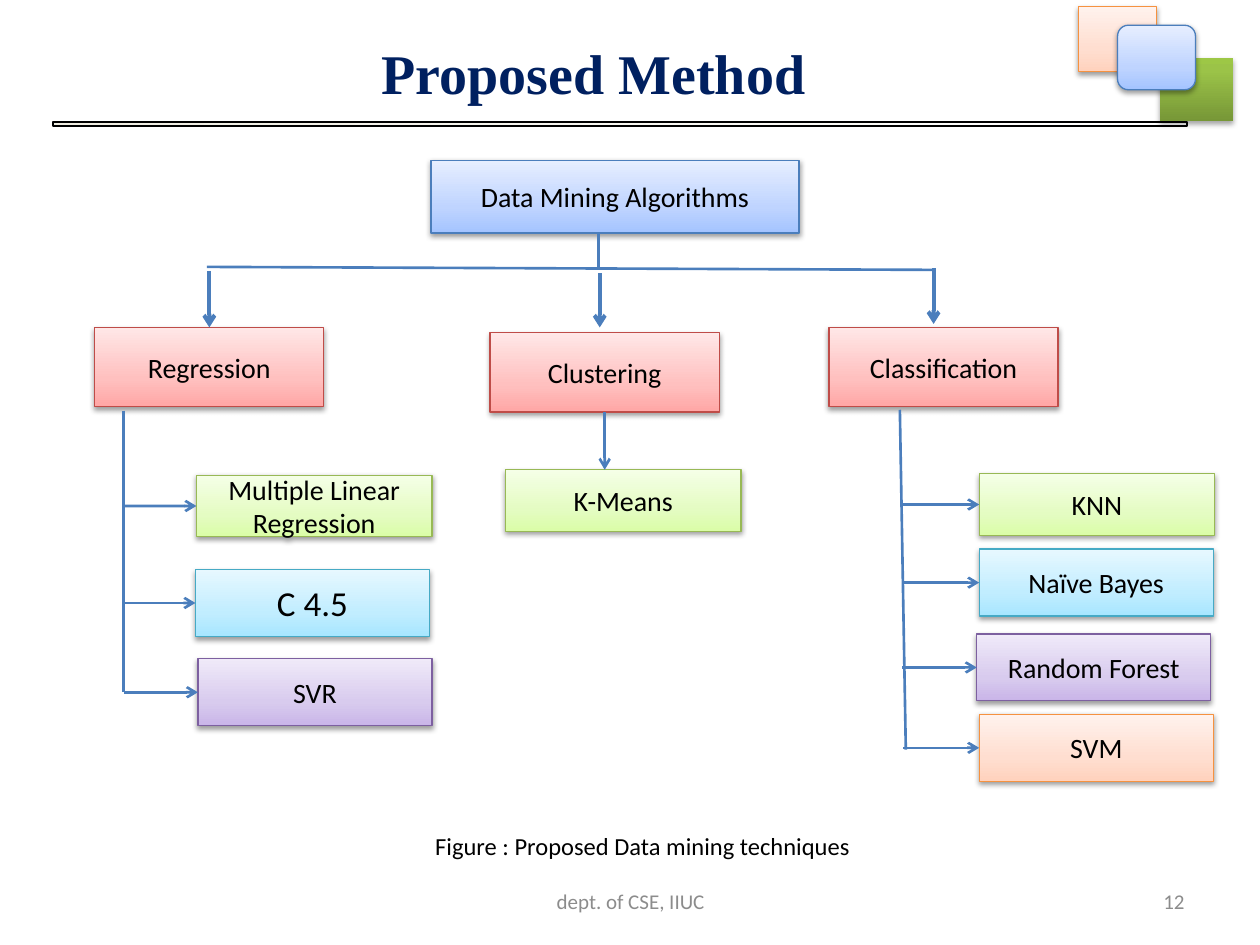
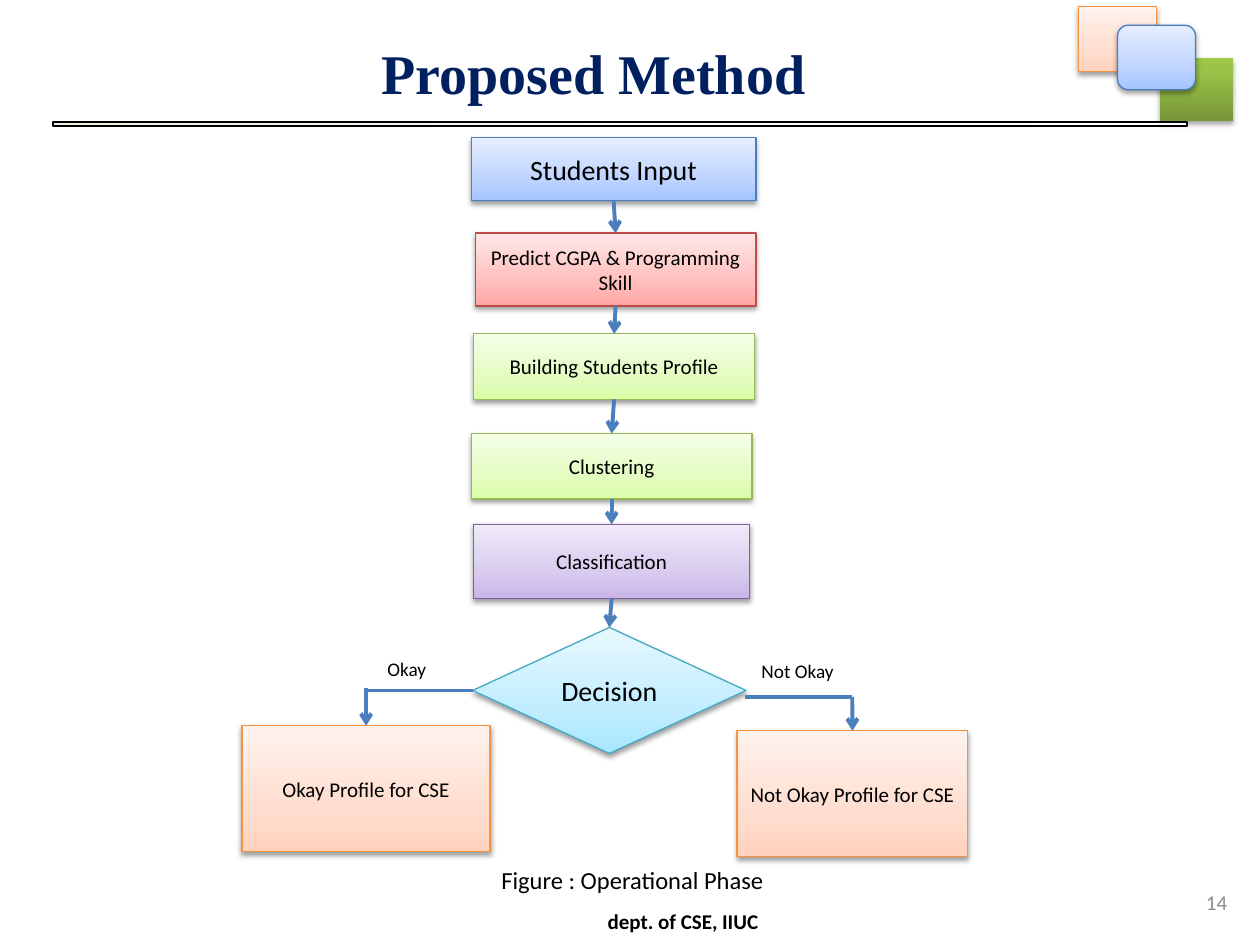
from lxml import etree
from pptx import Presentation
from pptx.dml.color import RGBColor
from pptx.enum import shapes, text
from pptx.oxml import ns
from pptx.util import Cm, Pt

# Shared style: three gradient stops (bottom to top) and an outline
BLUE = ("A4C4FF", "BFD4FF", "E6EEFF", "4B7EBC")
RED = ("FFA6A5", "FFC0BF", "FFE7E7", "BF4C48")
GREEN = ("DAFDA7", "E4FCC2", "F5FFE7", "98B955")
CYAN = ("A7E6FF", "C1EDFF", "E7F8FF", "46AAC5")
PURPLE = ("C9B5E8", "D8CBEE", "F0EAF9", "7D60A0")
ORANGE = ("FFD2BD", "FFDED0", "FFF2ED", "F69240")
ARROW, BLACK, GREY, NAVY = "4B7EBC", "000000", "8C8C8C", "002060"
TOP, LEFT, BOTTOM = 0, 1, 2
SHAPE = shapes.MSO_SHAPE
CENTER, RIGHT = text.PP_ALIGN.CENTER, text.PP_ALIGN.RIGHT


def rgb(value):
    return RGBColor.from_string(value)


def child(parent, tag, **attributes):
    """Append a DrawingML element."""
    element = etree.SubElement(parent, ns.qn(tag))
    for name, value in attributes.items():
        element.set(name, str(value))
    return element


class Deck:
    def __init__(self):
        self.prs = Presentation()
        self.prs.slide_width, self.prs.slide_height = Cm(25.4), Cm(19.05)
        self.slide = None

    def new_slide(self, title):
        self.slide = self.prs.slides.add_slide(self.prs.slide_layouts[5])
        heading = self.slide.shapes.title
        heading.left, heading.top = Cm(7.44), Cm(0.64)
        heading.width, heading.height = Cm(9.7), Cm(1.63)
        self.set_text(heading, title, 32, NAVY, text.PP_ALIGN.LEFT,
                      text.MSO_ANCHOR.TOP, True, "Times New Roman")
        heading.text_frame.word_wrap = False

    def set_text(self, shape, words, size, color=BLACK, align=CENTER,
                 anchor=text.MSO_ANCHOR.MIDDLE, bold=False, font="Calibri"):
        frame = shape.text_frame
        frame.word_wrap = True
        frame.auto_size = text.MSO_AUTO_SIZE.NONE
        frame.vertical_anchor = anchor
        paragraph = frame.paragraphs[0]
        paragraph.alignment = align
        run = paragraph.add_run()
        run.text = words
        run.font.name, run.font.size, run.font.bold = font, Pt(size), bold
        run.font.color.rgb = rgb(color)

    def label(self, at, words, size, wrap=False, **style):
        box = self.slide.shapes.add_textbox(*map(Cm, at))
        self.set_text(box, words, size, **style)
        box.text_frame.word_wrap = wrap

    def footer(self, words, at, number, number_at, color=GREY, bold=False):
        self.label(at, words, 12, True, color=color, bold=bold)
        self.label(number_at, number, 12, True, color=GREY, align=RIGHT)

    def panel(self, kind, at, stops, outline, angle=90, weight=0.75):
        """Add a gradient shape; stops are (percent, colour) pairs."""
        shape = self.slide.shapes.add_shape(kind, *map(Cm, at))
        shape.fill.gradient()
        shape.fill.gradient_angle = angle
        stop_list = shape.element.spPr.find(".//" + ns.qn("a:gsLst"))
        for old in list(stop_list):
            stop_list.remove(old)
        for percent, color in stops:
            stop = child(stop_list, "a:gs", pos=percent * 1000)
            child(stop, "a:srgbClr", val=color)
        if outline:
            shape.line.color.rgb = rgb(outline)
            shape.line.width = Pt(weight)
        else:
            shape.line.fill.background()
        shape.shadow.inherit = False
        return shape

    def cast_shadow(self, shape, opacity=38, distance=1.6):
        effects = shape.element.spPr.find(ns.qn("a:effectLst"))
        shadow = child(effects, "a:outerShdw", blurRad=Pt(3.1), dist=Pt(distance),
                       dir=5400000, rotWithShape=0)
        child(child(shadow, "a:srgbClr", val=BLACK), "a:alpha", val=opacity * 1000)

    def box(self, at, palette, words="", size=16, kind=SHAPE.RECTANGLE):
        shape = self.panel(kind, at, zip((0, 35, 100), palette), palette[3])
        self.cast_shadow(shape)
        if words:
            self.set_text(shape, words, size)
        return shape

    def rule(self):
        self.panel(SHAPE.RECTANGLE, (1.07, 2.46, 22.86, 0.08),
                   [(0, "EEECE1"), (100, "FFFFFF")], BLACK, 0, 1.5)

    def green_square(self):
        square = self.panel(SHAPE.RECTANGLE, (23.39, 1.17, 1.47, 1.27),
                            [(0, "779737"), (80, "9BC348"), (100, "9DC746")], None)
        self.cast_shadow(square, 35, 1.8)

    def header(self, rule_in_front):
        layers = [self.rule, self.green_square]
        for draw in reversed(layers) if rule_in_front else layers:
            draw()
        self.box((21.74, 0.13, 1.57, 1.32), ORANGE)
        self.box((22.53, 0.51, 1.57, 1.3), BLUE, kind=SHAPE.ROUNDED_RECTANGLE)

    def connect(self, start, end, weight=1.5, arrow=True):
        """Draw a line; each end is an (x, y) point or a (shape, side) joint."""
        line = self.slide.shapes.add_connector(
            shapes.MSO_CONNECTOR.STRAIGHT, 0, 0, 0, 0)
        if isinstance(start[0], (int, float)):
            line.begin_x, line.begin_y = map(Cm, start)
        else:
            line.begin_connect(*start)
        if isinstance(end[0], (int, float)):
            line.end_x, line.end_y = map(Cm, end)
        else:
            line.end_connect(*end)
        line.line.color.rgb = rgb(ARROW)
        line.line.width = Pt(weight)
        if arrow:
            child(line.element.spPr.find(ns.qn("a:ln")), "a:tailEnd", type="arrow")
        child(line.element.spPr, "a:effectLst")


def techniques_slide(deck):
    deck.new_slide("Proposed Method")
    deck.header(rule_in_front=False)

    # Root and the three families
    deck.box((8.69, 3.23, 7.42, 1.47), BLUE, "Data Mining Algorithms")
    regression, clustering, _ = [
        deck.box((x, y, 4.62, 1.6), RED, words) for x, y, words in (
            (1.91, 6.6, "Regression"), (9.88, 6.71, "Clustering"),
            (16.71, 6.6, "Classification"))]
    deck.connect((12.07, 4.7), (12.07, 5.41), arrow=False)
    deck.connect((4.17, 5.38), (18.8, 5.44), arrow=False)
    deck.connect((4.22, 5.46), (regression, TOP), 2.25)
    deck.connect((12.09, 5.51), (12.09, 6.6), 2.25)
    deck.connect((18.82, 5.41), (18.82, 6.53), 2.25)

    # Algorithms of each family
    deck.box((10.19, 9.47, 4.75, 1.24), GREEN, "K-Means")
    deck.connect((clustering, BOTTOM), (12.19, 9.47))
    deck.connect((2.49, 8.28), (2.49, 13.94), arrow=False)
    deck.connect((18.14, 8.26), (18.26, 15.11), arrow=False)
    for trunk_x, x, y, width, height, palette, words, size in (
            (2.49, 3.96, 9.58, 4.75, 1.24, GREEN, "Multiple Linear Regression", 16),
            (2.49, 3.94, 11.48, 4.72, 1.35, CYAN, "C 4.5", 20),
            (2.49, 3.99, 13.28, 4.72, 1.35, PURPLE, "SVR", 16),
            (18.19, 19.74, 9.55, 4.75, 1.24, GREEN, "KNN", 16),
            (18.21, 19.74, 11.07, 4.72, 1.35, CYAN, "Naïve Bayes", 16),
            (18.19, 19.69, 12.78, 4.72, 1.35, PURPLE, "Random Forest", 16),
            (18.21, 19.74, 14.4, 4.72, 1.35, ORANGE, "SVM", 16)):
        algorithm = deck.box((x, y, width, height), palette, words, size)
        deck.connect((trunk_x, y + height / 2), (algorithm, LEFT))

    # Caption and footer
    deck.label((8.36, 16.61, 9.19, 0.86), "Figure : Proposed Data mining techniques", 14)
    deck.footer("dept. of CSE, IIUC", (8.69, 17.65, 8.05, 1.02),
                "12", (18.21, 17.65, 5.92, 1.02))


def operation_slide(deck):
    deck.new_slide("Proposed Method")
    deck.header(rule_in_front=True)

    # Steps from the input down to the decision
    steps = [deck.box(at, palette, words, size, kind)
             for at, palette, words, size, kind in (
        ((9.5, 2.77, 5.74, 1.27), BLUE, "Students Input", 16, SHAPE.RECTANGLE),
        ((9.58, 4.7, 5.66, 1.47), RED, "Predict CGPA & Programming Skill", 12,
         SHAPE.RECTANGLE),
        ((9.55, 6.73, 5.66, 1.32), GREEN, "Building Students Profile", 12,
         SHAPE.RECTANGLE),
        ((9.5, 8.74, 5.66, 1.32), GREEN, "Clustering", 12, SHAPE.RECTANGLE),
        ((9.55, 10.57, 5.56, 1.5), PURPLE, "Classification", 12, SHAPE.RECTANGLE),
        ((9.53, 12.65, 5.51, 2.54), CYAN, "Decision", 16, SHAPE.DIAMOND))]
    for step, following in zip(steps, steps[1:]):
        deck.connect((step, BOTTOM), (following, TOP), 2.25)
    decision = steps[-1]

    # Two outcomes
    okay = deck.box((4.88, 14.63, 5, 2.54), ORANGE, "Okay Profile for CSE", 12)
    not_okay = deck.box((14.86, 14.73, 4.65, 2.54), ORANGE,
                        "Not Okay Profile for CSE", 12)
    deck.connect((decision, LEFT), (7.38, 13.92), 2.25, arrow=False)
    deck.connect((7.38, 13.87), (okay, TOP), 2.25)
    deck.connect((17.18, 14.05), (15.01, 14.05), 2.25, arrow=False)
    deck.connect((17.18, 14.05), (not_okay, TOP), 2.25)
    deck.label((7.54, 13.11, 1.32, 0.74), "Okay", 11)
    deck.label((15.09, 13.16, 1.98, 0.74), "Not Okay", 11)

    # Caption and footer
    deck.label((9.83, 17.3, 5.84, 0.86), "Figure : Operational Phase", 14)
    deck.footer("dept. of CSE, IIUC", (9.96, 18.06, 7.62, 1.02),
                "14", (23.29, 17.58, 1.7, 1.22), BLACK, True)


def main():
    deck = Deck()
    techniques_slide(deck)
    operation_slide(deck)
    deck.prs.save("out.pptx")


if __name__ == "__main__":
    main()
